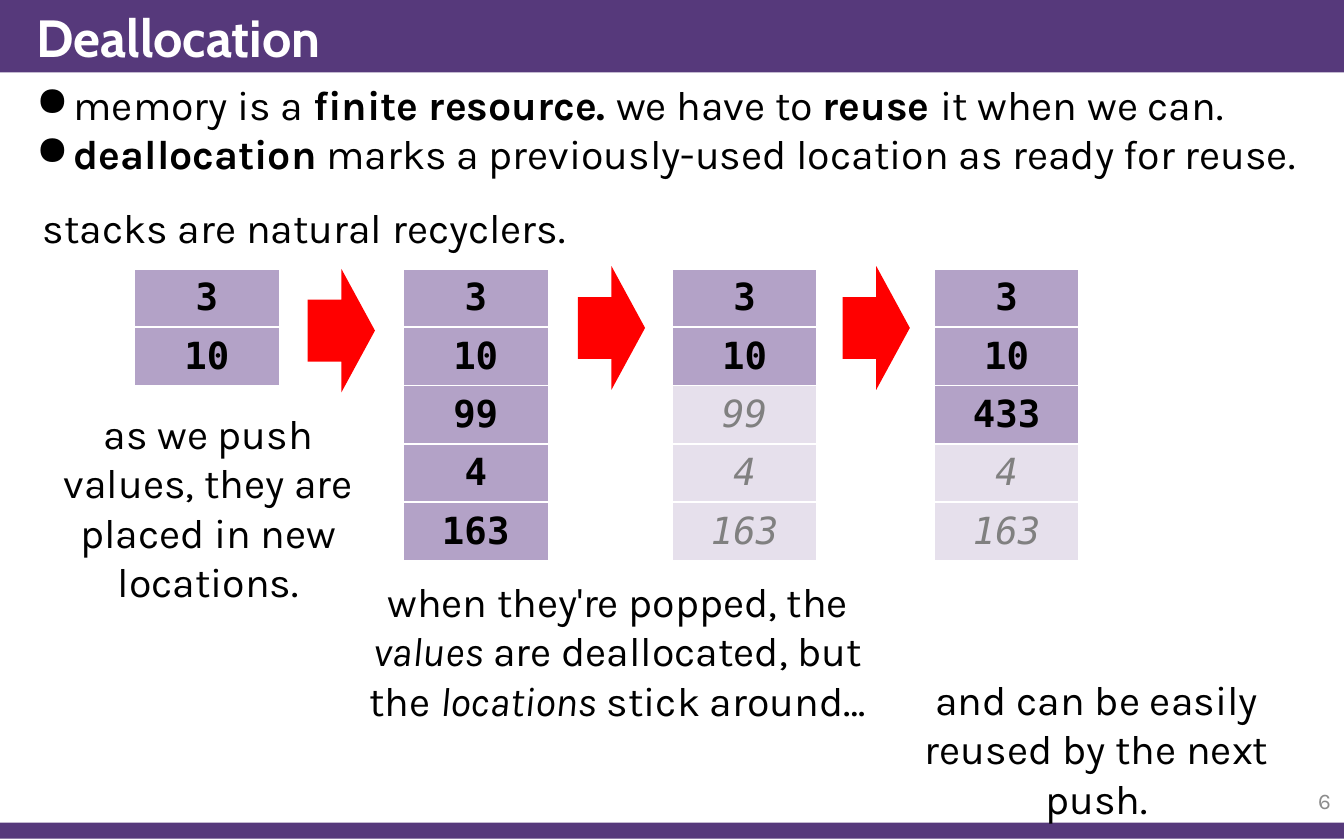
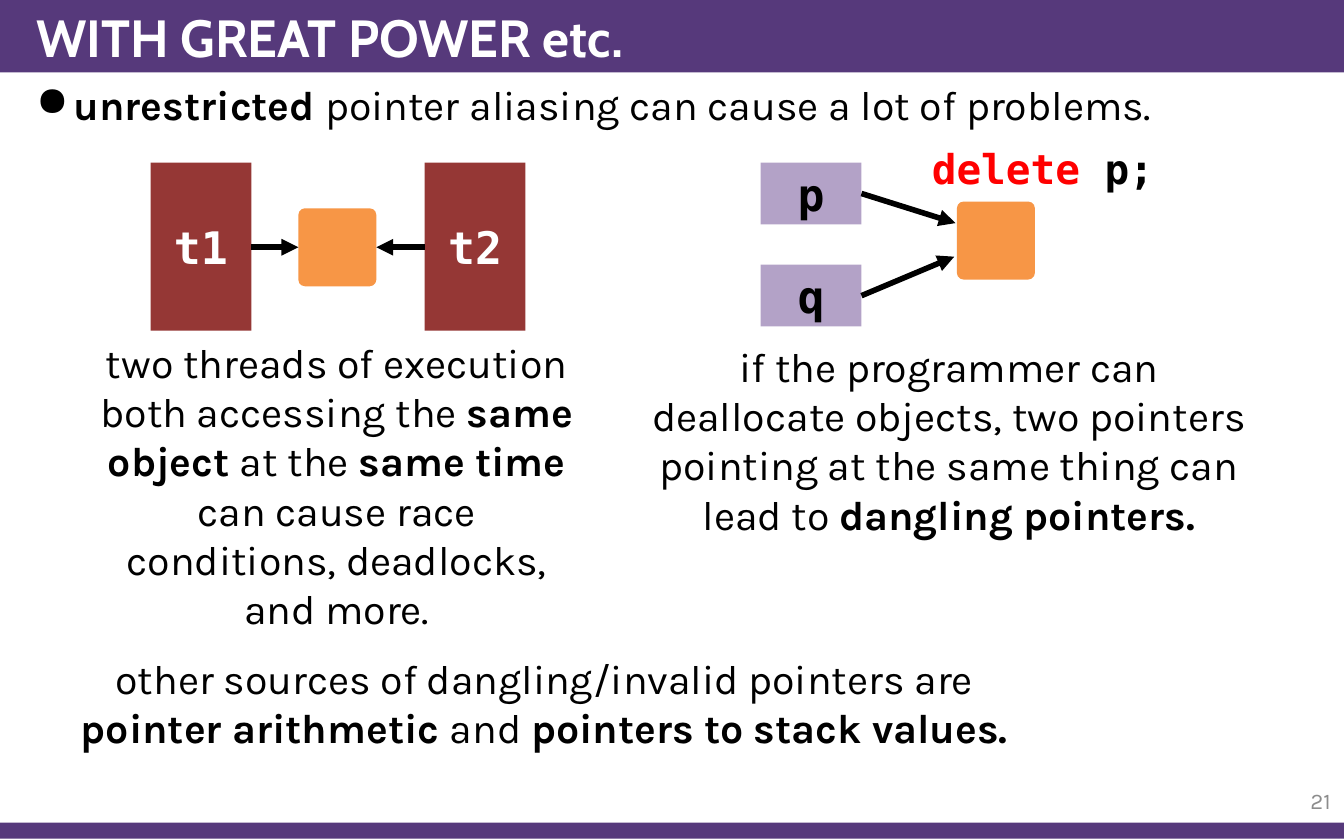
from lxml.etree import SubElement
from pptx import Presentation
from pptx.dml.color import RGBColor
from pptx.enum.shapes import MSO_CONNECTOR, MSO_SHAPE
from pptx.enum.text import MSO_ANCHOR, MSO_AUTO_SIZE, PP_ALIGN
from pptx.oxml.ns import qn
from pptx.util import Inches, Pt

PURPLE, LILAC, PALE, GRAY = "56397B", "B3A2C7", "E6E0EC", "808080"
MAROON, ORANGE, RED, BLACK, WHITE = "953735", "F79646", "FF0000", "000000", "FFFFFF"
PAGE_NUMBER_GRAY = "8C8C8C"
SANS, MONO, TITLE_FONT = "Karla", "DejaVu Sans Mono", "Cabin"
BANDS = [(0, 0, 10, 0.54), (0, 6.12, 10, 0.12)]


def bold(text):
    return text, {"bold": True}


def italic(text):
    return text, {"italic": True}


# Slide content: a paragraph is a list of plain strings and (text, format) pairs
DEALLOCATION_BULLETS = [
    ["memory is a ", bold("finite resource. "), "we have to ", bold("reuse "),
     "it when we can."],
    [bold("deallocation"), " marks a previously-used location as ready for reuse."],
]
DEALLOCATION_NOTES = [
    ((0.18, 1.46, 4.17, 0.47), ["stacks are natural recyclers."]),
    ((0.18, 2.99, 2.74, 1.21), ["as we push values, they are placed in new locations."]),
    ((2.5, 4.24, 4.19, 1.21),
     ["when they're popped, the ", italic("values"), " are deallocated, but the ",
      italic("locations"), " stick around…"]),
    ((6.37, 4.97, 3.58, 0.84), ["and can be easily reused by the next push."]),
]
# Left edge, values, how many of them are still live
STACKS = [
    (1, ["3", "10"], 2),
    (3, ["3", "10", "99", "4", "163"], 5),
    (5, ["3", "10", "99", "4", "163"], 2),
    (6.95, ["3", "10", "433", "4", "163"], 3),
]
STACK_TOP, STACK_WIDTH, ROW_HEIGHT = 2, 1.08, 2.17 / 5
STEP_ARROWS = [(2.29, 2), (4.3, 1.98), (6.27, 1.98)]

POWER_BULLETS = [
    [bold("unrestricted "), "pointer aliasing can cause a lot of problems."],
]
POWER_NOTES = [
    ((0.59, 2.46, 3.83, 1.95),
     ["two threads of execution both accessing the ", bold("same object "), "at the ",
      bold("same time "), "can cause race conditions, deadlocks, and more."]),
    ((4.75, 2.49, 4.62, 1.58),
     ["if the programmer can deallocate objects, two pointers pointing at the same "
      "thing can lead to ", bold("dangling pointers.")]),
    ((6.67, 1.02, 2.18, 0.47),
     [("delete", {"font": MONO, "color": RED, "bold": True}),
      (" p;", {"font": MONO, "bold": True})]),
    ((0.46, 4.81, 7.18, 0.84),
     ["other sources of dangling/invalid pointers are ", bold("pointer arithmetic "),
      "and ", bold("pointers to stack values.")]),
]
BOX_WIDTH, OBJECT_SIZE = 0.75, 0.58
THREADS = [("t1", 1.12), ("t2", 3.16)]
SHARED_OBJECT, DELETED_OBJECT = (2.22, 1.55), (7.12, 1.5)
POINTER_LEFT, POINTER_HEIGHT = 5.66, 0.46
# Name, top of the box, where its arrow ends
POINTERS = [("p", 1.21, (7.11, 1.66)), ("q", 1.97, (7.1, 1.91))]


def color(hex_string):
    return RGBColor.from_string(hex_string)


def inches(lengths):
    return [Inches(length) for length in lengths]


def write(para, spans, align=PP_ALIGN.CENTER, **defaults):
    """Fill a paragraph; the format of a span overrides the defaults."""
    para.alignment = align
    for span in spans:
        text, own = (span, {}) if isinstance(span, str) else span
        look = {"font": SANS, "size": 22, "color": BLACK, "bold": False,
                "italic": False, **defaults, **own}
        run = para.add_run()
        run.text = text
        run.font.name, run.font.size = look["font"], Pt(look["size"])
        run.font.bold, run.font.italic = look["bold"], look["italic"]
        run.font.color.rgb = color(look["color"])


def add_text(page, place, spans, **look):
    box = page.shapes.add_textbox(*inches(place))
    box.text_frame.word_wrap = True
    write(box.text_frame.paragraphs[0], spans, **look)
    return box


def add_notes(page, notes):
    for place, spans in notes:
        box = add_text(page, place, spans)
        box.text_frame.auto_size = MSO_AUTO_SIZE.SHAPE_TO_FIT_TEXT


def add_bullets(page, bullets):
    height = 0.16 + 0.38 * len(bullets)
    frame = page.shapes.add_textbox(*inches((0.17, 0.54, 9.83, height))).text_frame
    frame.word_wrap = True
    for index, spans in enumerate(bullets):
        para = frame.add_paragraph() if index else frame.paragraphs[0]
        properties = para._p.get_or_add_pPr()
        properties.set("marL", str(Inches(0.28)))
        properties.set("indent", str(-Inches(0.28)))
        SubElement(properties, qn("a:buChar"), char="●")
        write(para, spans, align=PP_ALIGN.LEFT)


def add_block(shapes, kind, place, fill, label=None, label_color=BLACK):
    block = shapes.add_shape(kind, *inches(place))
    block.shadow.inherit = False
    block.fill.solid()
    block.fill.fore_color.rgb = color(fill)
    block.line.fill.background()
    if label:
        block.text_frame.vertical_anchor = MSO_ANCHOR.MIDDLE
        write(block.text_frame.paragraphs[0], [label], font=MONO, size=24,
              bold=True, color=label_color)
    return block


def add_object(shapes, corner):
    block = add_block(shapes, MSO_SHAPE.ROUNDED_RECTANGLE,
                      (*corner, OBJECT_SIZE, OBJECT_SIZE), ORANGE)
    block.adjustments[0] = 0.084


def add_arrow(shapes, start, end):
    arrow = shapes.add_connector(MSO_CONNECTOR.STRAIGHT, *inches((*start, *end)))
    arrow.line.width = Pt(3)
    arrow.line.color.rgb = color(BLACK)
    SubElement(arrow.line._get_or_add_ln(), qn("a:tailEnd"), type="triangle")
    SubElement(arrow.element.spPr, qn("a:effectLst"))


def add_cell_borders(cell):
    properties = cell._tc.get_or_add_tcPr()
    for index, side in enumerate(("lnL", "lnR", "lnT", "lnB")):
        line = properties.makeelement(qn(f"a:{side}"), {"w": str(Pt(1))})
        SubElement(SubElement(line, qn("a:solidFill")), qn("a:srgbClr"), val=WHITE)
        properties.insert(index, line)


def add_stack(page, left, values, live_count):
    place = (left, STACK_TOP, STACK_WIDTH, ROW_HEIGHT * len(values))
    table = page.shapes.add_table(len(values), 1, *inches(place)).table
    table.first_row = table.horz_banding = False
    for index, value in enumerate(values):
        live = index < live_count
        cell = table.cell(index, 0)
        cell.vertical_anchor = MSO_ANCHOR.MIDDLE
        cell.fill.solid()
        cell.fill.fore_color.rgb = color(LILAC if live else PALE)
        add_cell_borders(cell)
        write(cell.text_frame.paragraphs[0], [value], font=MONO, size=20,
              bold=live, italic=not live, color=BLACK if live else GRAY)


def add_bands(page, layout):
    """Draw the bands and move them to the layout, behind its placeholders."""
    for index, place in enumerate(BANDS):
        band = add_block(page.shapes, MSO_SHAPE.RECTANGLE, place, PURPLE)
        band.element.nvSpPr.cNvPr.set("id", str(101 + index))
        layout.shapes.element.insert(2, band.element)


def add_page(deck, title, number, bullets, notes):
    page = deck.slides.add_slide(deck.slide_layouts[5])
    heading = page.shapes.title
    heading.left, heading.top, heading.width, heading.height = inches((0.17, 0, 9.83, 0.54))
    heading.text_frame.vertical_anchor = MSO_ANCHOR.MIDDLE
    write(heading.text_frame.paragraphs[0], [title], align=PP_ALIGN.LEFT,
          font=TITLE_FONT, size=28, bold=True, color=WHITE)
    add_bullets(page, bullets)
    number_box = add_text(page, (9.25, 5.79, 0.75, 0.33), [str(number)],
                          align=PP_ALIGN.RIGHT, size=12, color=PAGE_NUMBER_GRAY)
    number_box.text_frame.vertical_anchor = MSO_ANCHOR.MIDDLE
    add_notes(page, notes)
    return page


def draw_stacks(page):
    for stack in STACKS:
        add_stack(page, *stack)
    for corner in STEP_ARROWS:
        add_block(page.shapes, MSO_SHAPE.RIGHT_ARROW, (*corner, 0.5, 0.92), RED)


def draw_threads(page):
    shapes = page.shapes.add_group_shape().shapes
    for name, left in THREADS:
        add_block(shapes, MSO_SHAPE.RECTANGLE, (left, 1.21, BOX_WIDTH, 1.25),
                  MAROON, name, WHITE)
    add_object(shapes, SHARED_OBJECT)
    object_left, middle = SHARED_OBJECT[0], 1.84
    add_arrow(shapes, (THREADS[0][1] + BOX_WIDTH, middle), (object_left, middle))
    add_arrow(shapes, (THREADS[1][1], middle), (object_left + OBJECT_SIZE, middle))


def draw_pointers(page):
    add_object(page.shapes, DELETED_OBJECT)
    for name, top, target in POINTERS:
        add_block(page.shapes, MSO_SHAPE.RECTANGLE,
                  (POINTER_LEFT, top, BOX_WIDTH, POINTER_HEIGHT), LILAC, name)
        start = (POINTER_LEFT + BOX_WIDTH, top + POINTER_HEIGHT / 2)
        add_arrow(page.shapes, start, target)


def main():
    deck = Presentation()
    deck.slide_width, deck.slide_height = inches((10, 6.25))

    page = add_page(deck, "Deallocation", 6, DEALLOCATION_BULLETS, DEALLOCATION_NOTES)
    add_bands(page, deck.slide_layouts[5])
    draw_stacks(page)

    page = add_page(deck, "WITH GREAT POWER etc.", 21, POWER_BULLETS, POWER_NOTES)
    draw_threads(page)
    draw_pointers(page)

    deck.save("out.pptx")


if __name__ == "__main__":
    main()
